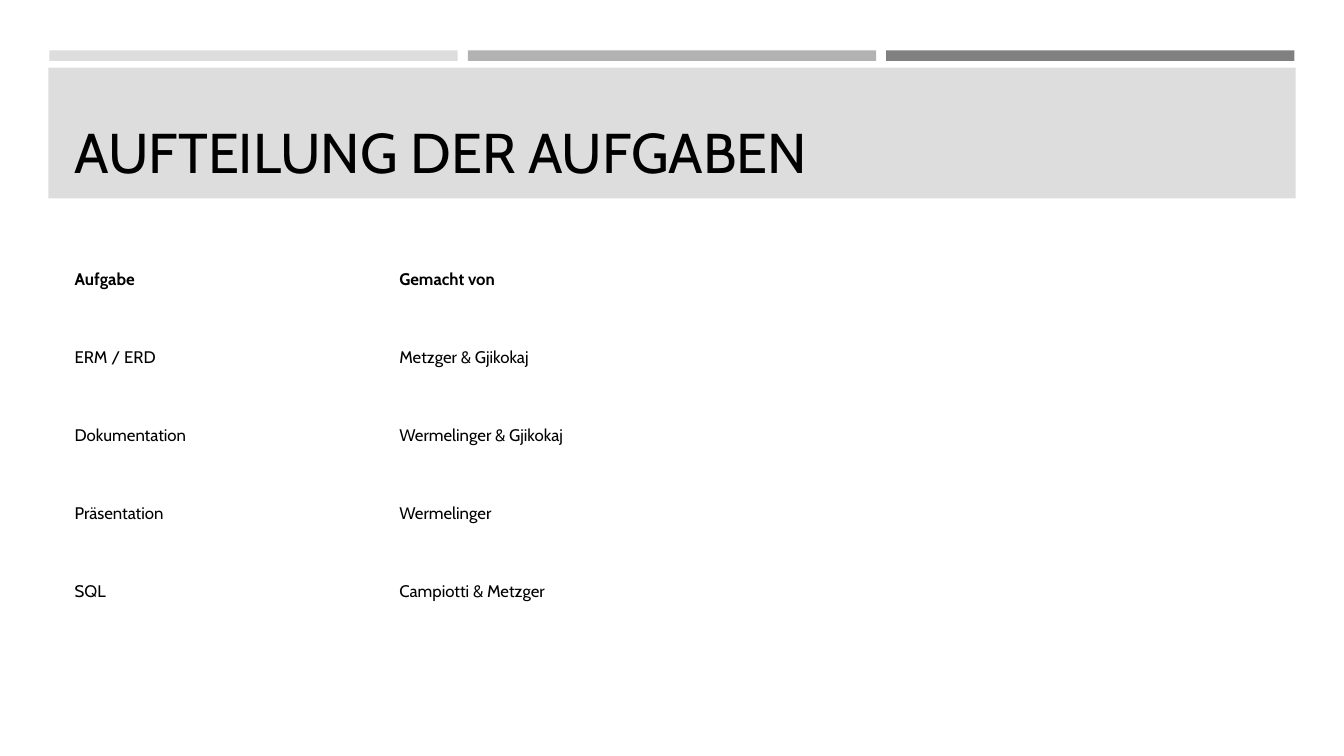
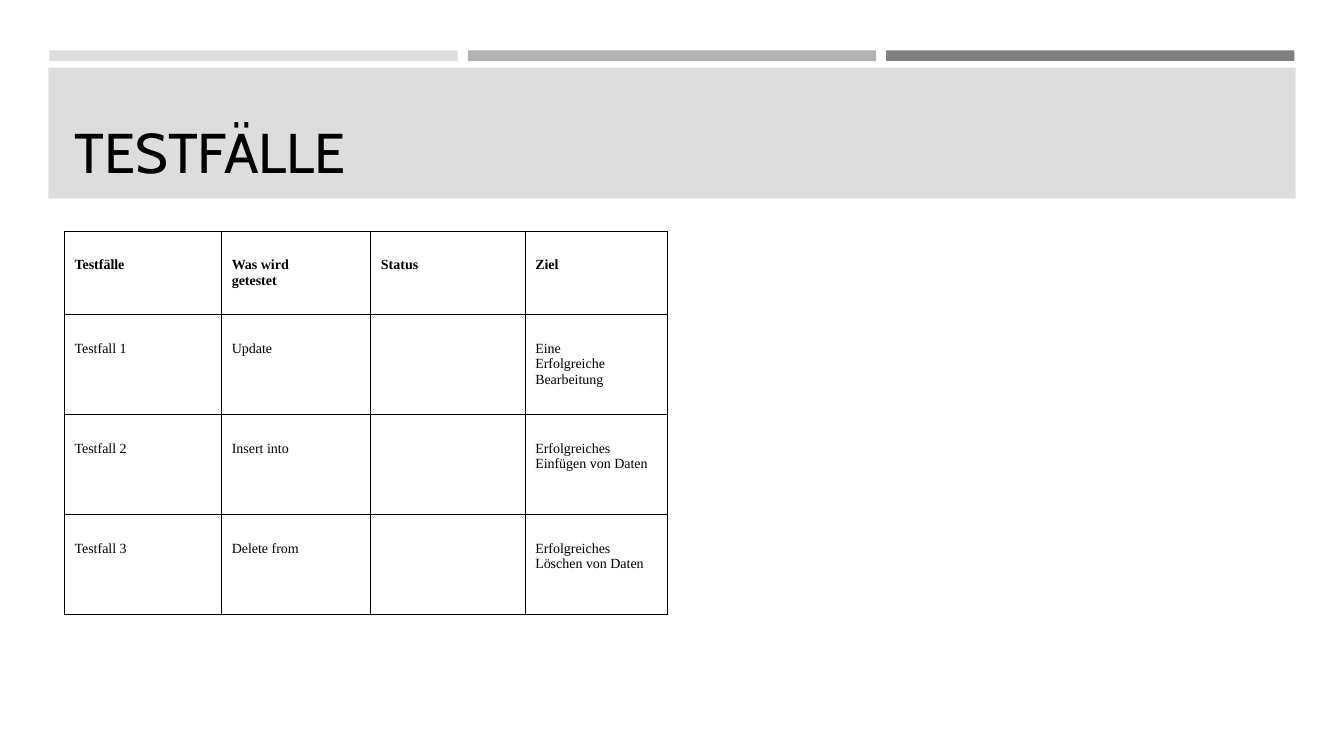
from lxml.etree import SubElement
from pptx import Presentation
from pptx.dml.color import RGBColor
from pptx.enum.shapes import MSO_SHAPE
from pptx.enum.text import MSO_ANCHOR, MSO_AUTO_SIZE, PP_ALIGN
from pptx.oxml.ns import qn
from pptx.util import Inches, Pt

BLACK = RGBColor(0x00, 0x00, 0x00)
LIGHT = RGBColor(0xDD, 0xDD, 0xDD)
MID = RGBColor(0xB2, 0xB2, 0xB2)
DARK = RGBColor(0x80, 0x80, 0x80)
SANS = "Cabin"
SERIF = "Times New Roman"

TASKS = [
    ["Aufgabe", "Gemacht von"],
    ["ERM / ERD", "Metzger & Gjikokaj"],
    ["Dokumentation", "Wermelinger & Gjikokaj"],
    ["Präsentation", "Wermelinger"],
    ["SQL", "Campiotti & Metzger"],
]
# \v marks a line break inside a cell
TESTS = [
    ["Testfälle", "Was wird\vgetestet", "Status", "Ziel"],
    ["Testfall 1", "Update", "", "Eine\vErfolgreiche\vBearbeitung"],
    ["Testfall 2", "Insert into", "", "Erfolgreiches\vEinfügen von Daten"],
    ["Testfall 3", "Delete from", "", "Erfolgreiches\vLöschen von Daten"],
]


class Deck:
    """Holds the style and the current slide; lengths are percent of its size."""

    left = 4.8

    def __init__(self):
        self.prs = Presentation()
        self.prs.slide_width = Inches(13.33)
        self.prs.slide_height = Inches(7.5)

    def wide(self, share):
        return round(self.prs.slide_width * share / 100)

    def high(self, share):
        return round(self.prs.slide_height * share / 100)

    def box(self, x, y, w, h):
        return self.wide(x), self.high(y), self.wide(w), self.high(h)

    def slide(self, title):
        self.page = self.prs.slides.add_slide(self.prs.slide_layouts[5])
        for i, color in enumerate((LIGHT, MID, DARK)):
            self.band(3.68 + i * 31.13, 6.67, 30.38, 1.4, color)
        self.band(3.6, 8.93, 92.8, 17.33, LIGHT)
        self.title(title)

    def band(self, x, y, w, h, color):
        band = self.page.shapes.add_shape(MSO_SHAPE.RECTANGLE, *self.box(x, y, w, h))
        band.shadow.inherit = False
        band.fill.solid()
        band.fill.fore_color.rgb = color
        band.line.fill.background()

    def title(self, text):
        """Fill the title placeholder and bring it in front of the bands."""
        title = self.page.shapes.title
        title.left, title.top, title.width, title.height = self.box(
            self.left, 10.27, 90.48, 14.8)
        frame = title.text_frame
        frame.text = text
        frame.auto_size = MSO_AUTO_SIZE.NONE
        frame.vertical_anchor = MSO_ANCHOR.BOTTOM
        par = frame.paragraphs[0]
        par.alignment = PP_ALIGN.LEFT
        self.style(par, SANS, 40)
        tree = title.element.getparent()
        tree.append(title.element)

    def style(self, par, face, size, bold=False):
        font = par.font
        font.name, font.size, font.bold = face, Pt(size), bold
        font.color.rgb = BLACK

    def table(self, data, y, cols, rows, face, size, anchor, pad=0.1, edge=False):
        frame = self.page.shapes.add_table(
            len(rows), len(cols), *self.box(self.left, y, sum(cols), sum(rows)))
        table = frame.table
        table.first_row = table.horz_banding = False
        for col, share in zip(table.columns, cols):
            col.width = self.wide(share)
        for i, (row, share) in enumerate(zip(table.rows, rows)):
            row.height = self.high(share)
            for cell, text in zip(row.cells, data[i]):
                cell.text = text
                cell.vertical_anchor = anchor
                cell.margin_left = cell.margin_right = cell.margin_bottom = Inches(0.1)
                cell.margin_top = Inches(pad)
                for par in cell.text_frame.paragraphs:
                    self.style(par, face, size, bold=i == 0)
                if edge:
                    self.edge(cell)
                cell.fill.background()

    def edge(self, cell):
        """Draw a thin black line on each side of the cell."""
        props = cell._tc.get_or_add_tcPr()
        for side in ("lnL", "lnR", "lnT", "lnB"):
            line = SubElement(props, qn(f"a:{side}"), w=str(Pt(0.75)))
            fill = SubElement(line, qn("a:solidFill"))
            SubElement(fill, qn("a:srgbClr"), val=str(BLACK))


def main():
    deck = Deck()
    deck.slide("AUFTEILUNG DER AUFGABEN")
    deck.table(TASKS, 31.73, [24.16] * 2, [10.35] * 5, SANS, 12, MSO_ANCHOR.MIDDLE)
    deck.slide("TESTFÄLLE")
    deck.table(TESTS, 30.6, [11.7, 11.1, 11.48, 10.55], [11.05] + [13.2] * 3,
               SERIF, 10, MSO_ANCHOR.TOP, pad=0.26, edge=True)
    deck.prs.save("out.pptx")


if __name__ == "__main__":
    main()
